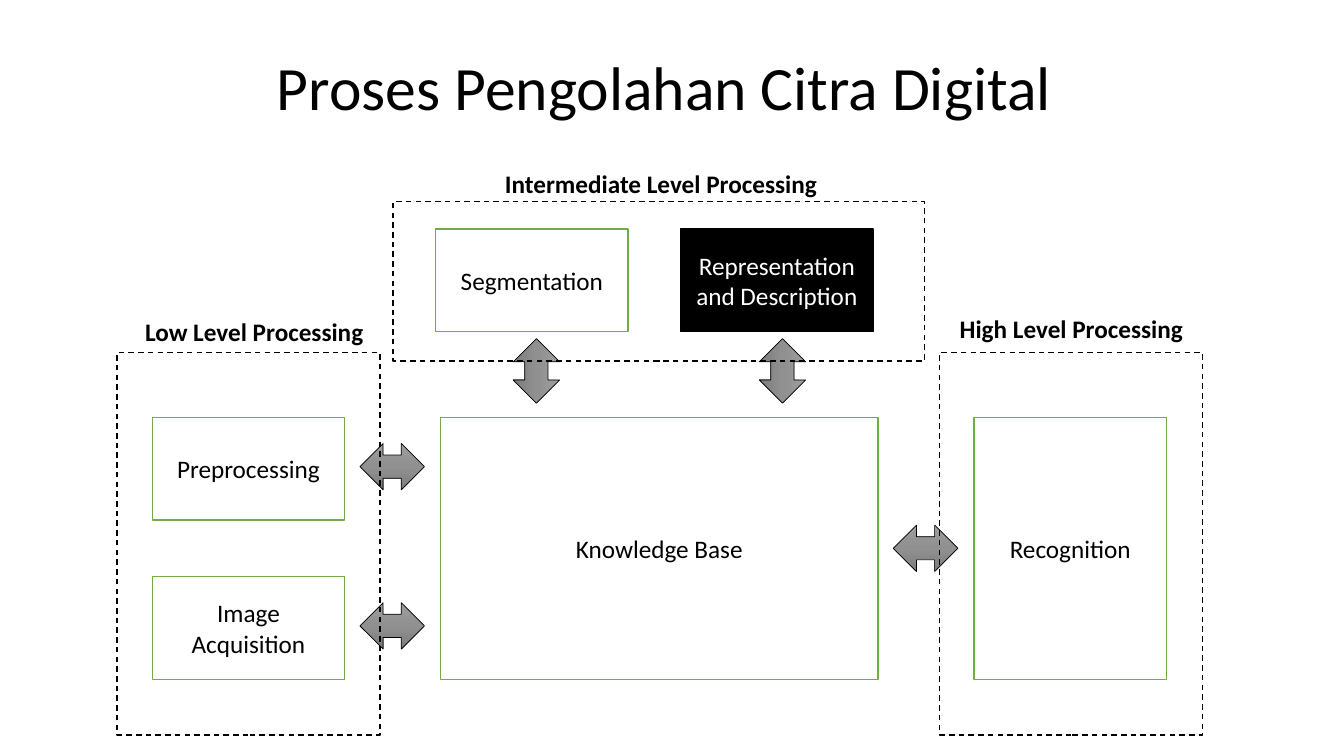
from copy import deepcopy
from pptx import Presentation
from pptx.dml.color import RGBColor
from pptx.enum.dml import MSO_LINE
from pptx.enum.shapes import MSO_SHAPE as SHAPE
from pptx.enum.text import MSO_ANCHOR as ANCHOR, MSO_AUTO_SIZE as AUTO, PP_ALIGN as ALIGN
from pptx.oxml.ns import qn
from pptx.util import Inches, Pt

THEME = {
    "font": "Calibri", "head": 44, "body": 18,
    "ink": "000000", "paper": "FFFFFF", "green": "70AD47",
    "greys": [(0, "9D9D9D"), (0.5, "909090"), (1, "7C7C7C")],
}

TITLE = ("Proses Pengolahan Citra Digital", 0.84, 0.17, 11.5, 1.45)

# text, left, top, width, height, fill, line, font colour
PLAIN = ("paper", "green", "ink")
DARK = ("ink", "ink", "paper")
BOXES = [
    ("Knowledge Base", 4.37, 4.14, 4.34, 2.6, PLAIN),
    ("Image Acquisition", 1.51, 5.72, 1.91, 1.02, PLAIN),
    ("Preprocessing", 1.51, 4.14, 1.91, 1.02, PLAIN),
    ("Segmentation", 4.32, 2.27, 1.91, 1.02, PLAIN),
    ("Representation and Description", 6.75, 2.27, 1.91, 1.02, DARK),
    ("Recognition", 9.66, 4.14, 1.91, 2.6, PLAIN),
]

# left, top, rotation
ARROWS = [(3.57, 4.4, 0), (3.57, 5.98, 0), (8.86, 5.21, 0),
          (5, 3.45, 90), (7.44, 3.45, 90)]
ARROW_W, ARROW_H = 0.64, 0.46

FRAMES = [(1.16, 3.5, 2.61, 3.79), (9.32, 3.5, 2.61, 3.79), (3.9, 2, 5.27, 1.58)]

LABELS = [
    ("Low Level Processing", 1.34, 3.09, 2.39, 0.4),
    ("Intermediate Level Processing", 4.91, 1.62, 3.32, 0.4),
    ("High Level Processing", 9.42, 3.06, 2.43, 0.4),
]


def color(name):
    return RGBColor.from_string(THEME.get(name, name))


def inches(*nums):
    return [Inches(n) for n in nums]


def write(shape, text, size="body", ink="ink", bold=False, align=ALIGN.CENTER):
    frame = shape.text_frame
    frame.text = text
    para = frame.paragraphs[0]
    para.alignment = align
    font = para.runs[0].font
    font.name, font.size, font.bold = THEME["font"], Pt(THEME[size]), bold
    font.color.rgb = color(ink)
    return frame


def add_shape(slide, kind, area, line="ink", width=1):
    shape = slide.shapes.add_shape(kind, *inches(*area))
    shape.shadow.inherit = False
    shape.line.color.rgb = color(line)
    shape.line.width = Pt(width)
    return shape


def add_title(slide):
    text, *area = TITLE
    frame = write(slide.shapes.add_textbox(*inches(*area)), text, "head")
    frame.word_wrap = True
    frame.vertical_anchor = ANCHOR.MIDDLE
    frame.paragraphs[0].line_spacing = 0.9


def add_box(slide, text, *area, look):
    fill, line, ink = look
    box = add_shape(slide, SHAPE.RECTANGLE, area, line)
    box.fill.solid()
    box.fill.fore_color.rgb = color(fill)
    write(box, text, ink=ink).vertical_anchor = ANCHOR.MIDDLE


def add_arrow(slide, left, top, turn):
    area = (left, top, ARROW_W, ARROW_H)
    arrow = add_shape(slide, SHAPE.LEFT_RIGHT_ARROW, area, width=0.5)
    arrow.rotation = turn
    fill = arrow.fill
    fill.gradient()
    fill.gradient_angle = 270
    stops = arrow.element.find(".//" + qn("a:gsLst"))
    stops.insert(1, deepcopy(stops[0]))  # the default gradient has two stops
    for stop, (place, grey) in zip(fill.gradient_stops, THEME["greys"]):
        stop.position = place
        stop.color.rgb = color(grey)


def add_frame(slide, *area):
    frame = add_shape(slide, SHAPE.RECTANGLE, area)
    frame.fill.background()
    frame.line.dash_style = MSO_LINE.DASH


def add_label(slide, text, *area):
    box = slide.shapes.add_textbox(*inches(*area))
    frame = write(box, text, bold=True, align=ALIGN.LEFT)
    frame.word_wrap = False
    frame.auto_size = AUTO.SHAPE_TO_FIT_TEXT


def main():
    deck = Presentation()
    deck.slide_width, deck.slide_height = inches(13.33, 7.5)
    slide = deck.slides.add_slide(deck.slide_layouts[6])
    add_title(slide)
    for *box, look in BOXES:
        add_box(slide, *box, look=look)
    for arrow in ARROWS:
        add_arrow(slide, *arrow)
    for frame in FRAMES:
        add_frame(slide, *frame)
    for label in LABELS:
        add_label(slide, *label)
    deck.save("out.pptx")


if __name__ == "__main__":
    main()
